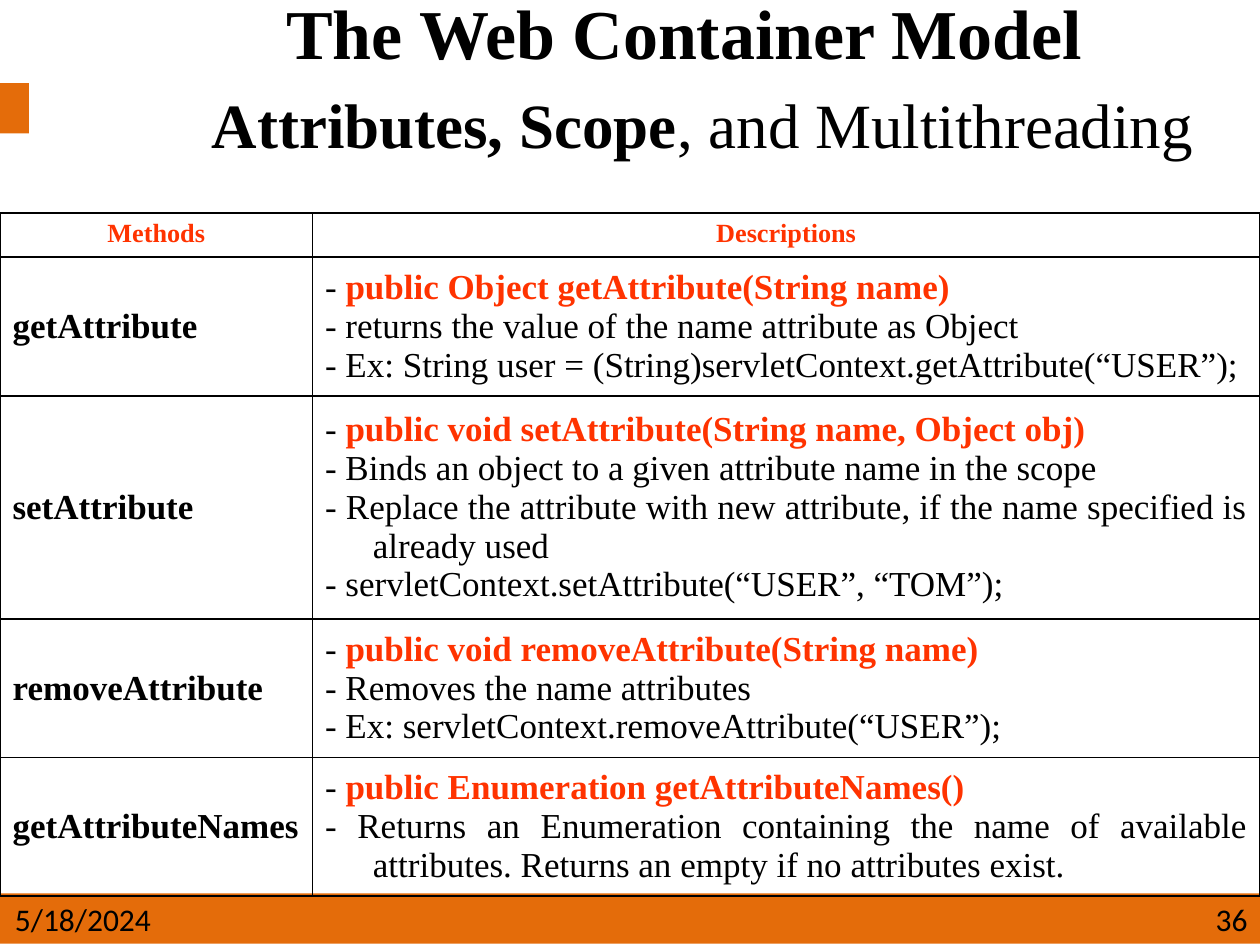
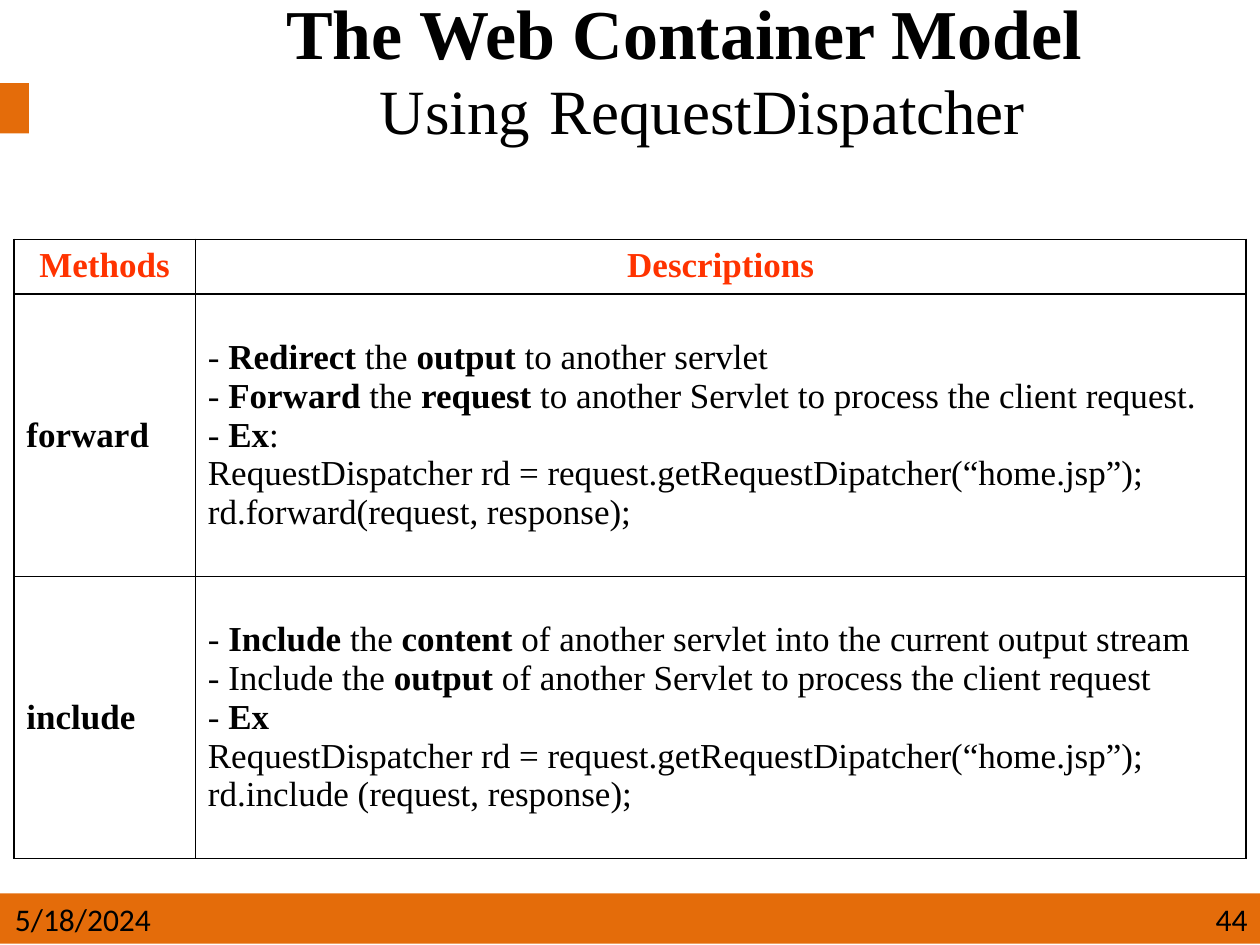
"""Build two slides on servlet attributes and request dispatching."""
import pptx
import pptx.dml.color
import pptx.enum.shapes
import pptx.enum.text
import pptx.oxml
import pptx.oxml.ns
import pptx.util

WIDTH, HEIGHT = pptx.util.Inches(10), pptx.util.Inches(7.5)
COLUMNS, ROWS = 100, 75
ORANGE, RED, BLACK = "E46C0A", "FF3300", "000000"
SERIF, SANS = "Times New Roman", "Calibri"
HANGING = pptx.util.Inches(0.38)
ALIGN = pptx.enum.text.PP_ALIGN
MIDDLE = pptx.enum.text.MSO_ANCHOR.MIDDLE
HEADINGS = ["Methods", "Descriptions"]

ATTRIBUTE_METHODS = [
    ("getAttribute", [
        "- |public Object getAttribute(String name)|",
        "- returns the value of the name attribute as Object",
        "- Ex: String user = (String)servletContext.getAttribute(“USER”);"]),
    ("setAttribute", [
        "- |public void setAttribute(String name, Object obj)|",
        "- Binds an object to a given attribute name in the scope",
        "- Replace the attribute with new attribute, if the name specified is already used",
        "- servletContext.setAttribute(“USER”, “TOM”);"]),
    ("removeAttribute", [
        "- |public void removeAttribute(String name)|",
        "- Removes the name attributes",
        "- Ex: servletContext.removeAttribute(“USER”);"]),
    ("getAttributeNames", [
        "- |public Enumeration getAttributeNames()|",
        "- Returns an Enumeration containing the name of available attributes. "
        "Returns an empty if no attributes exist."]),
]
DISPATCHER_CALL = "RequestDispatcher rd = request.getRequestDipatcher(“home.jsp”);"
DISPATCHER_METHODS = [
    ("forward", [
        "- |Redirect| the |output| to another servlet",
        "- |Forward| the |request| to another Servlet to process the client request.",
        "- |Ex|:",
        DISPATCHER_CALL,
        "rd.forward(request, response);"]),
    ("include", [
        "- |Include| the |content| of another servlet into the current output stream",
        "- Include the |output| of another Servlet to process the client request",
        "- |Ex|",
        DISPATCHER_CALL,
        "rd.include (request, response);"]),
]


def color(hex_string):
    return pptx.dml.color.RGBColor.from_string(hex_string)


def across(columns):
    return round(WIDTH * columns / COLUMNS)


def down(rows):
    return round(HEIGHT * rows / ROWS)


def place(left, top, width, height):
    return across(left), down(top), across(width), down(height)


def assign(target, values):
    for name, value in values.items():
        setattr(target, name, value)


class Deck:
    """Holds the shared style and the current slide."""

    def __init__(self):
        self.presentation = pptx.Presentation()
        assign(self.presentation, {"slide_width": WIDTH, "slide_height": HEIGHT})
        self.slide = None

    def start_slide(self, number, subtitle, leading):
        self.slide = self.presentation.slides.add_slide(self.presentation.slide_layouts[6])
        self.band(0, 70.9, 100, 4)
        self.band(0, 6.6, 2.3, 4)
        self.title(subtitle, leading)
        self.footer("5/18/2024", 0.2, 15.2, ALIGN.LEFT)
        self.footer(number, 70, 30, ALIGN.RIGHT)

    def band(self, *area):
        band = self.slide.shapes.add_shape(
            pptx.enum.shapes.MSO_SHAPE.RECTANGLE, *place(*area))
        band.shadow.inherit = False
        band.fill.solid()
        band.fill.fore_color.rgb = color(ORANGE)
        band.line.fill.background()

    def run(self, paragraph, text, size, bold=False, ink=BLACK, face=SERIF):
        run = paragraph.add_run()
        run.text = text
        assign(run.font, {"name": face, "size": pptx.util.Pt(size), "bold": bold})
        run.font.color.rgb = color(ink)

    def text_area(self, area, **frame_format):
        frame = self.slide.shapes.add_textbox(*place(*area)).text_frame
        assign(frame, {"word_wrap": True, "vertical_anchor": MIDDLE, **frame_format})
        return frame.paragraphs[0]

    def title(self, subtitle, leading):
        heading = self.text_area((10, 0, 90, 12.1), margin_top=0)
        assign(heading, {"alignment": ALIGN.CENTER, "line_spacing": pptx.util.Pt(leading)})
        self.run(heading, "The Web Container Model ", 40, True)
        heading.add_line_break()
        for text, size, bold in subtitle:
            self.run(heading, text, size, bold)

    def footer(self, text, left, width, alignment):
        note = self.text_area((left, 70.9, width, 4))
        note.alignment = alignment
        self.run(note, text, 18, face=SANS)

    def border(self, cell):
        properties = cell._tc.get_or_add_tcPr()
        for side in "LRTB":
            properties.append(pptx.oxml.parse_xml(
                f'<a:ln{side} {pptx.oxml.ns.nsdecls("a")} w="12700"><a:solidFill>'
                f'<a:srgbClr val="{BLACK}"/></a:solidFill></a:ln{side}>'))
        cell.fill.background()

    def write_cell(self, cell, lines, alignment, size, strong_ink):
        self.border(cell)
        for index, line in enumerate(lines):
            paragraph = cell.text_frame.add_paragraph() if index else cell.text_frame.paragraphs[0]
            paragraph.alignment = alignment
            for name, value in {"marL": HANGING, "indent": -HANGING}.items():
                paragraph._p.get_or_add_pPr().set(name, str(int(value)))
            for part, text in enumerate(line.split("|")):
                if text:
                    strong = part % 2 == 1
                    self.run(paragraph, text, size, strong, strong_ink if strong else BLACK)

    def method_table(self, left, top, widths, heights, methods, heading_size, strong_ink):
        table = self.slide.shapes.add_table(
            len(heights), len(widths), *place(left, top, sum(widths), sum(heights))).table
        assign(table, {"first_row": False, "horz_banding": False})
        for column, width in zip(table.columns, widths):
            column.width = across(width)
        for row, height in zip(table.rows, heights):
            row.height = down(height)
        for column, heading in enumerate(HEADINGS):
            self.write_cell(table.cell(0, column), [f"|{heading}|"],
                            ALIGN.CENTER, heading_size, RED)
        for row, (method, description) in enumerate(methods, 1):
            name_cell, description_cell = table.cell(row, 0), table.cell(row, 1)
            self.write_cell(name_cell, [f"|{method}|"], ALIGN.LEFT, 20, BLACK)
            self.write_cell(description_cell, description, ALIGN.JUSTIFY, 20, strong_ink)
            for cell in (name_cell, description_cell):
                cell.vertical_anchor = MIDDLE


def main():
    deck = Deck()
    deck.start_slide("36", [(" ", 44, True), ("Attributes, Scope", 36, True),
                            (", and Multithreading", 36, False)], 52)
    deck.method_table(0, 16.9, [24.8, 75.2], [3.4, 11, 17.7, 11, 11],
                      ATTRIBUTE_METHODS, 15, RED)
    deck.start_slide("44", [(" ", 44, True), ("Using", 36, False), (" ", 44, True),
                            ("RequestDispatcher", 36, False)], 44)
    deck.method_table(1.1, 19, [14.4, 83.4], [4.3, 22.4, 22.4],
                      DISPATCHER_METHODS, 20, BLACK)
    deck.presentation.save("out.pptx")


if __name__ == "__main__":
    main()
